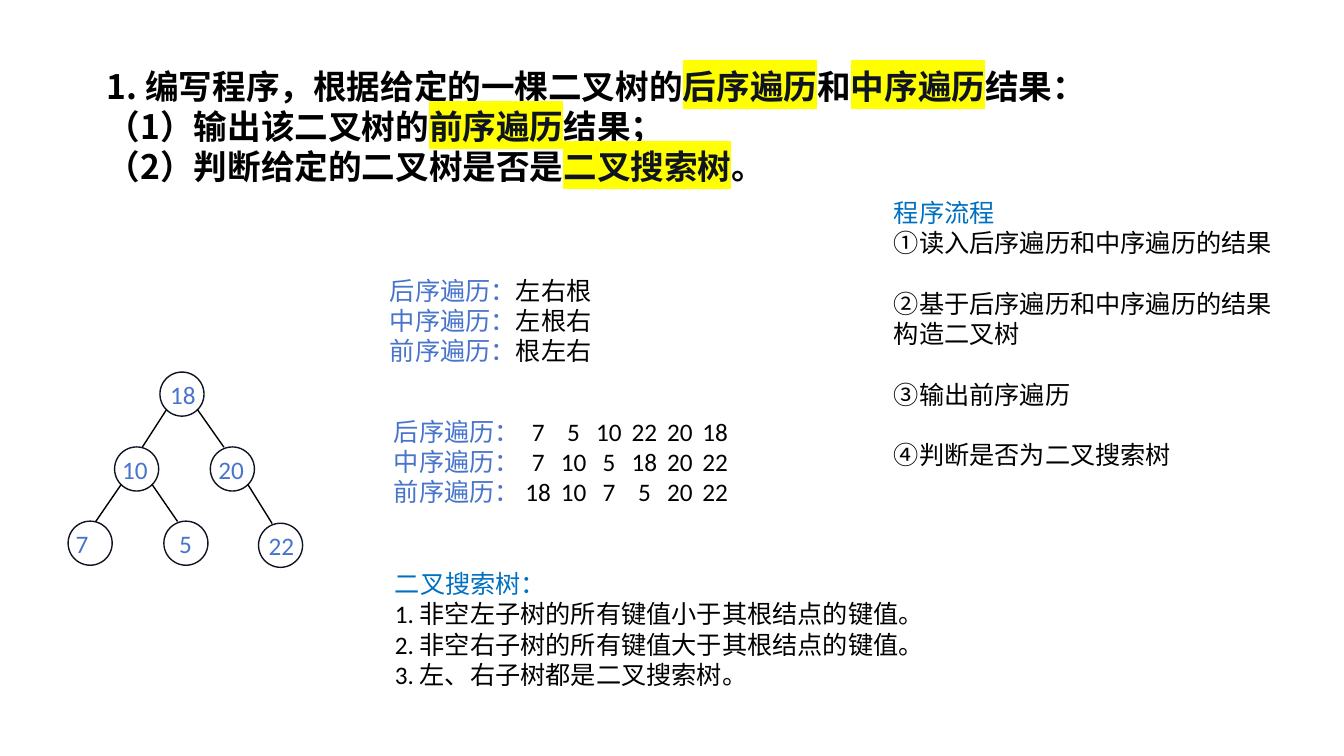
from dataclasses import dataclass

from lxml import etree
from pptx import Presentation
from pptx.dml.color import RGBColor
from pptx.enum import lang, shapes, text
from pptx.oxml import ns
from pptx.util import Pt


@dataclass(frozen=True)
class Theme:
    ink: str = "000000"
    dark: str = "0F1423"
    blue: str = "4874CB"
    heading: str = "0070C0"
    marker: str = "FFFF00"
    chinese_font: str = "Noto Sans CJK SC"
    body_font: str = "Calibri"
    title_size: int = 24
    body_size: int = 18


T = Theme()
RADIUS = 15.75

# key: (centre x, centre y, label offset x, parent)
TREE = {
    "18": (130, 281.5, -15.5, None),
    "10": (97.6, 335, -17.5, "18"),
    "20": (166, 335, -17, "18"),
    "7": (64.4, 388, -17.5, "10"),
    "5": (132.8, 388, -12, "10"),
    "22": (200.4, 389.5, -15.5, "20"),
}


def sub(parent, tag, **attrs):
    return etree.SubElement(parent, ns.qn(tag), **attrs)


def add_run(p, words, color=T.ink, size=T.body_size, font=T.body_font,
            bold=False, highlight=None):
    r = p.add_run()
    r.text = words
    r.font.size, r.font.bold = Pt(size), bold
    r.font.language_id = lang.MSO_LANGUAGE_ID.SIMPLIFIED_CHINESE
    r.font.color.rgb = RGBColor.from_string(color)
    props = r.font._element
    if highlight:
        sub(sub(props, "a:highlight"), "a:srgbClr", val=highlight)
    r.font.name = font
    sub(props, "a:ea", typeface=T.chinese_font)


def fill_lines(tf, lines, space_after=0, tabs=(), **fmt):
    """Each line is a list of (words, overrides of the format)."""
    tf.word_wrap = True
    tf.vertical_anchor = text.MSO_ANCHOR.TOP
    for i, line in enumerate(lines):
        p = tf.paragraphs[0] if i == 0 else tf.add_paragraph()
        p.alignment = text.PP_ALIGN.LEFT
        p.line_spacing = 1.0
        p.space_before = Pt(0)
        p.space_after = Pt(space_after if i else 0)
        if tabs:
            stops = sub(p._p.get_or_add_pPr(), "a:tabLst")
            for pos in tabs:
                sub(stops, "a:tab", pos=str(Pt(pos)), algn="ctr")
        for words, extra in line:
            add_run(p, words, **{**fmt, **extra})


def add_text(s, x, y, w, h, lines, **fmt):
    box = s.shapes.add_textbox(Pt(x), Pt(y), Pt(w), Pt(h))
    fill_lines(box.text_frame, lines, **fmt)


def add_title(s):
    title = s.shapes.title
    title.left, title.top, title.width, title.height = (
        Pt(v) for v in (69.1, 43.2, 801.4, 103))
    marked = {"color": T.dark, "highlight": T.marker}
    fill_lines(title.text_frame, [
        [("1. 编写程序，根据给定的一棵二叉树的", {}), ("后序遍历", marked),
         ("和", {}), ("中序遍历", marked), ("结果：", {})],
        [("（1）输出该二叉树的", {}), ("前序遍历", marked), ("结果；", {})],
        [("（2）判断给定的二叉树是否是", {}), ("二叉搜索树", marked), ("。", {})],
    ], size=T.title_size, font=T.chinese_font, bold=True)
    title.text_frame.auto_size = text.MSO_AUTO_SIZE.NONE


def add_node(s, key, x, y, label_dx):
    sp = s.shapes.add_shape(shapes.MSO_SHAPE.OVAL, Pt(x - RADIUS), Pt(y - RADIUS),
                            Pt(2 * RADIUS), Pt(2 * RADIUS))
    sp.shadow.inherit = False
    sp.fill.background()
    sp.line.color.rgb = RGBColor.from_string(T.dark)
    sp.line.width = Pt(1)
    add_text(s, x + label_dx, y - 14, 39, 29, [[(key, {})]], color=T.blue)


def add_edge(s, parent, child):
    """Line from the lower side of a parent to the top of its child."""
    (px, py), (cx, cy) = parent, child
    start_dx, end_dx = (-11, 4) if cx < px else (11, -6)
    line = s.shapes.add_connector(
        shapes.MSO_CONNECTOR.STRAIGHT, Pt(px + start_dx), Pt(py + 11),
        Pt(cx + end_dx), Pt(cy - 15.5))
    line.line.color.rgb = RGBColor.from_string(T.ink)
    line.line.width = Pt(1)
    sub(line._element.spPr, "a:effectLst")


def add_tree(s):
    for key, (x, y, label_dx, parent) in TREE.items():
        add_node(s, key, x, y, label_dx)
        if parent:
            add_edge(s, TREE[parent][:2], (x, y))


def labelled(rows):
    return [[(label + "：", {"color": T.blue}), (value, {})] for label, value in rows]


def headed(heading, items):
    return [[(heading, {"color": T.heading})]] + [[(item, {})] for item in items]


def main():
    prs = Presentation()
    prs.slide_width, prs.slide_height = Pt(960), Pt(540)
    s = prs.slides.add_slide(prs.slide_layouts.get_by_name("Title Only"))
    add_title(s)
    add_tree(s)

    add_text(s, 271.4, 193, 224.6, 72.7, labelled([
        ("后序遍历", "左右根"), ("中序遍历", "左根右"), ("前序遍历", "根左右")]))

    sequences = [("后序遍历", (7, 5, 10, 22, 20, 18)),
                 ("中序遍历", (7, 10, 5, 18, 20, 22)),
                 ("前序遍历", (18, 10, 7, 5, 20, 22))]
    add_text(s, 274.3, 293.8, 265, 72.7, labelled(
        (label, "".join(f"\t{key}" for key in keys)) for label, keys in sequences),
        tabs=[103 + 25.3 * i for i in range(6)])

    add_text(s, 275, 402.5, 614.2, 94.3, headed("二叉搜索树：", [
        "1. 非空左子树的所有键值小于其根结点的键值。",
        "2. 非空右子树的所有键值大于其根结点的键值。",
        "3. 左、右子树都是二叉搜索树。"]))

    add_text(s, 631.4, 137.5, 298, 211.7, headed("程序流程", [
        "①读入后序遍历和中序遍历的结果",
        "②基于后序遍历和中序遍历的结果构造二叉树",
        "③输出前序遍历",
        "④判断是否为二叉搜索树"]), space_after=21.6)

    prs.save("out.pptx")


if __name__ == "__main__":
    main()
